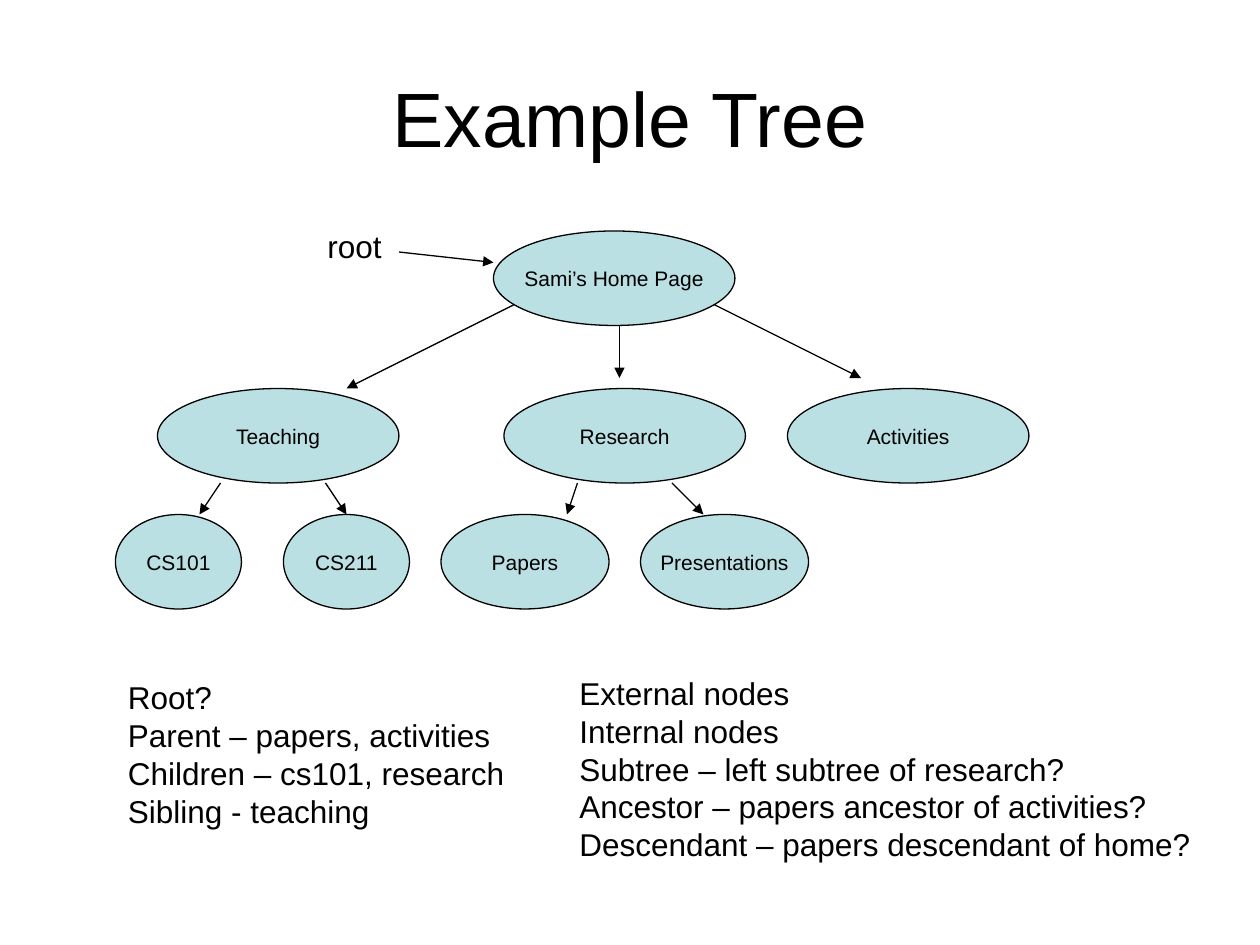
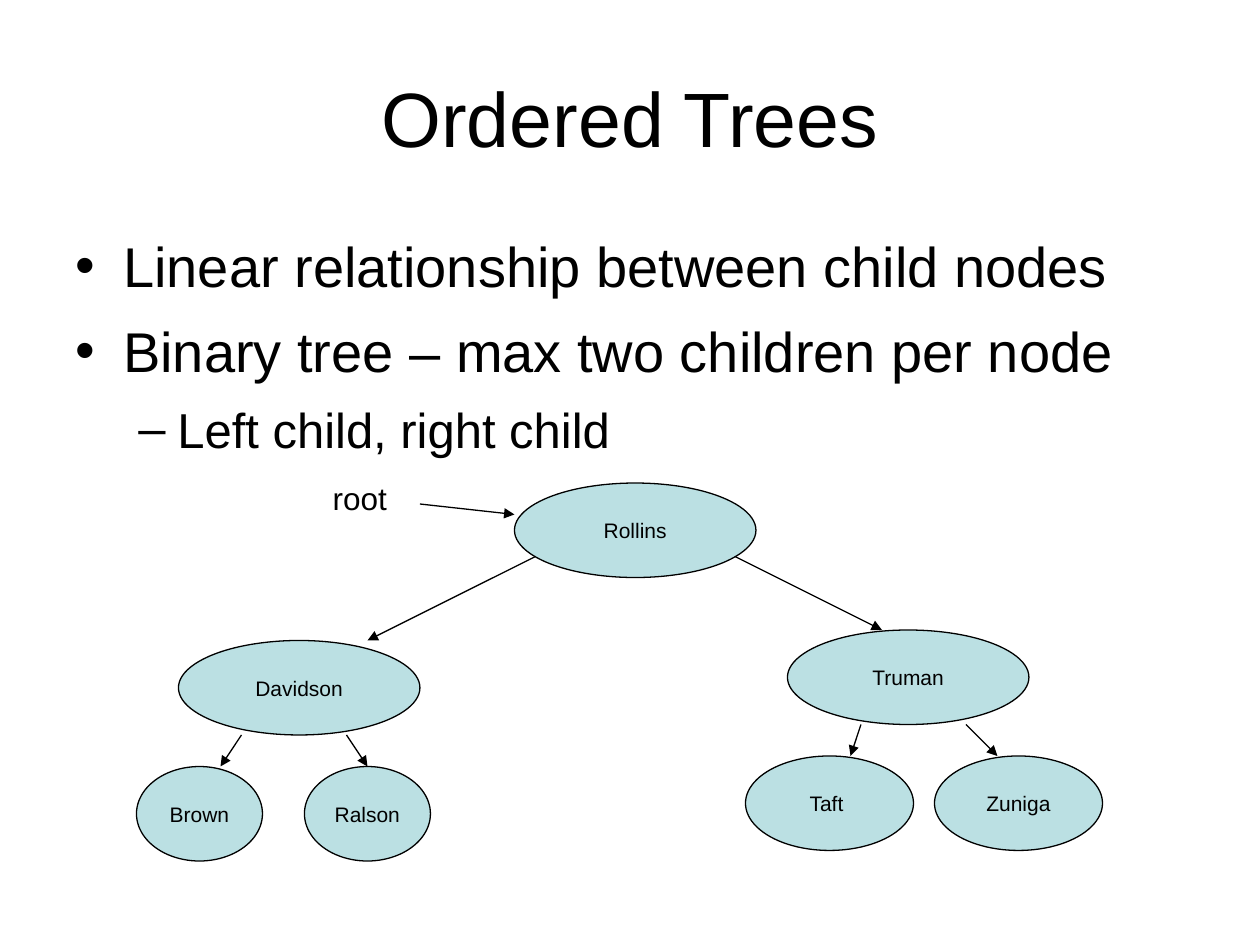
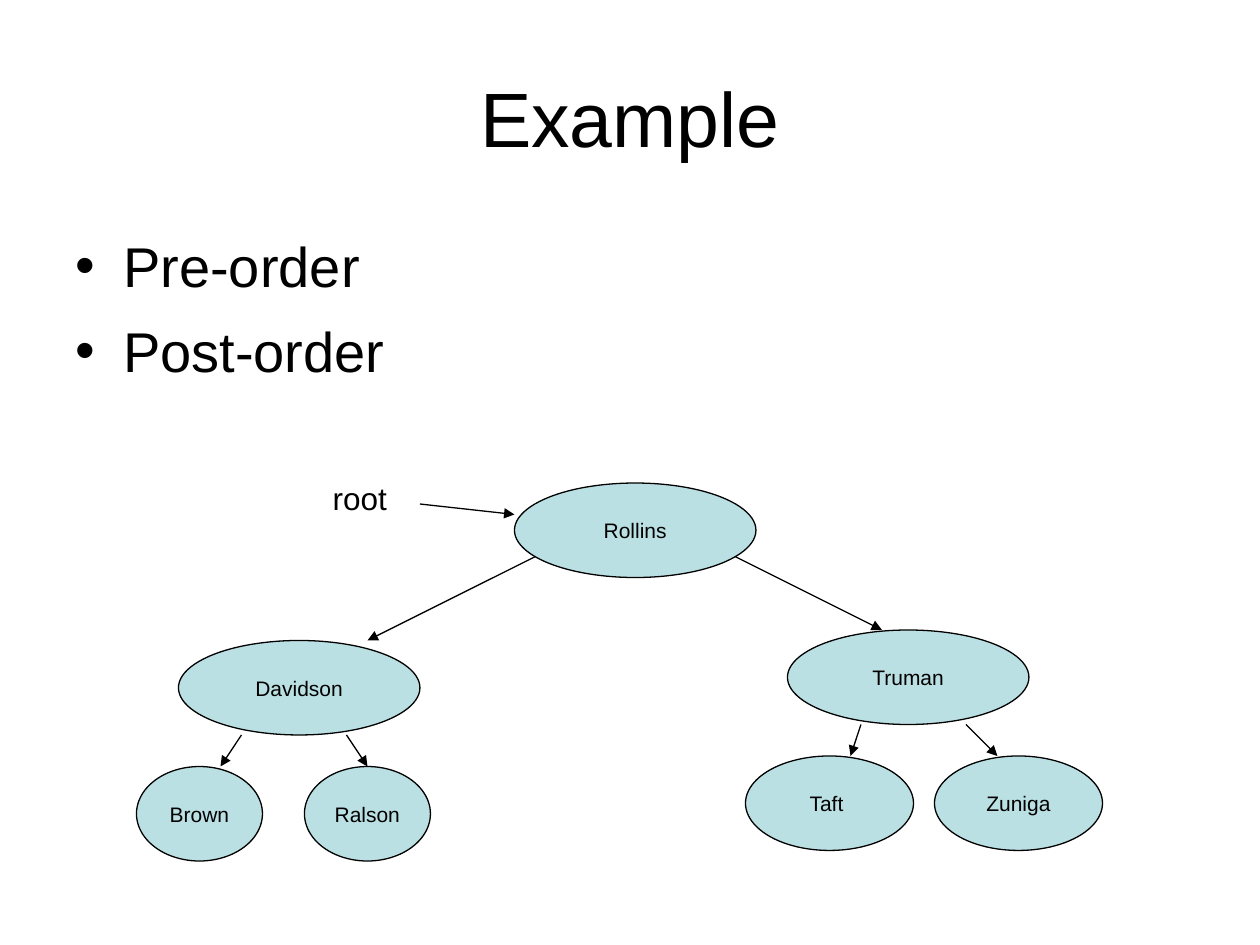
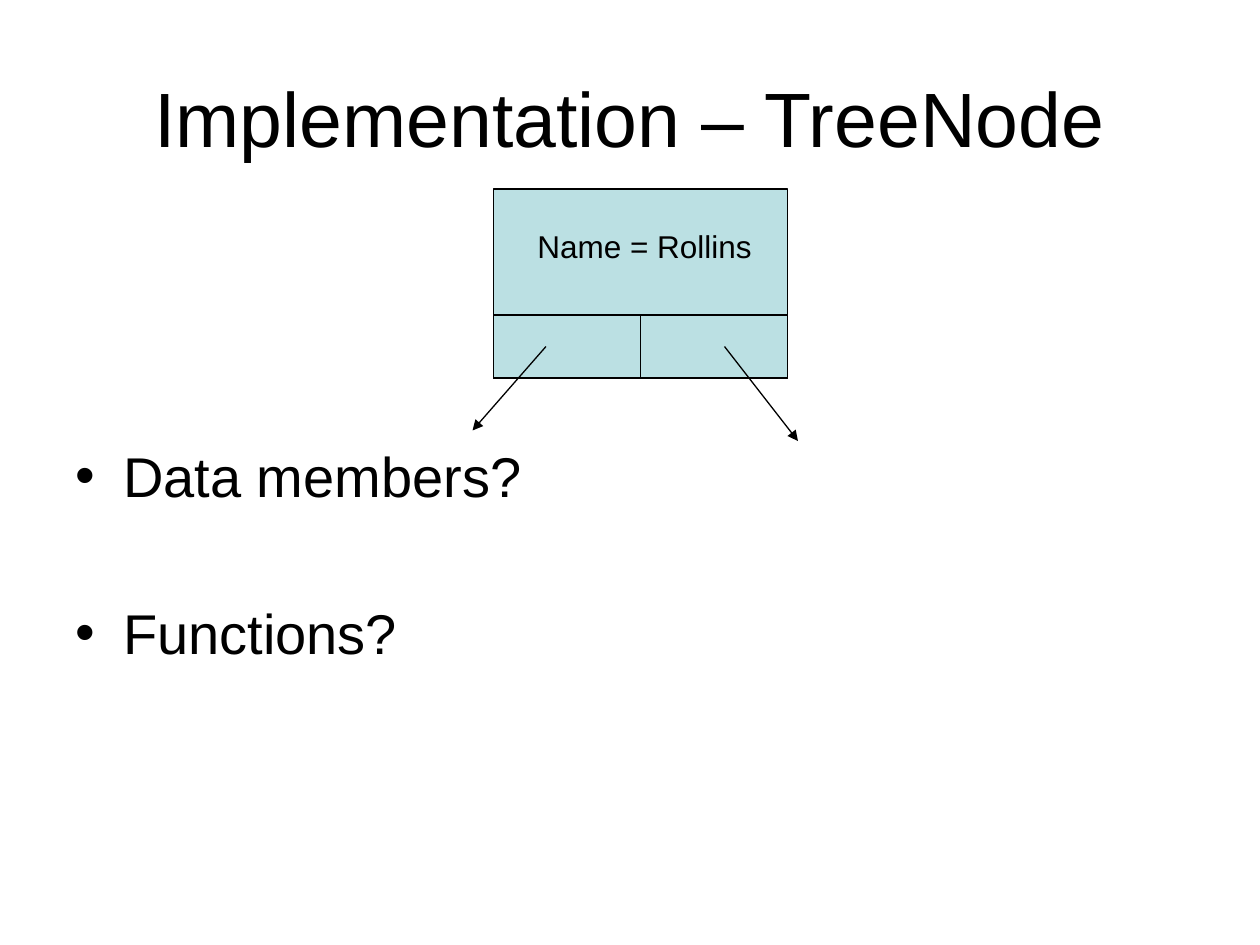
from dataclasses import dataclass
from lxml.etree import SubElement
from pptx import Presentation
from pptx.dml.color import RGBColor
from pptx.enum.shapes import MSO_CONNECTOR, MSO_SHAPE
from pptx.enum.text import MSO_ANCHOR, PP_ALIGN
from pptx.oxml.ns import qn
from pptx.util import Inches, Pt


@dataclass(frozen=True)
class Theme:
    font: str = "Arial"
    ink: RGBColor = RGBColor(0, 0, 0)
    fill: RGBColor = RGBColor(0xBB, 0xE0, 0xE3)
    line: float = 0.75
    title: int = 44
    label: int = 18
    node: int = 12


T = Theme()

# The grid has 12 cells to the inch; every place below is in cells.
COLS, ROWS = 120, 90
TITLE = (6, 3.6, 108, 15)
WIDE, MID, SMALL, TALL = 23, 16, 12, 9

# Bullet levels: size, left margin, hanging indent, mark
LEVELS = [(32, 0.38, 0.38, "•"), (28, 0.81, 0.31, "–")]

# Nodes: text, left, top, width. Arrows: from, to.
SITE = [
    ("Activities", 75, 37, WIDE), ("Teaching", 15, 37, WIDE),
    ("Research", 48, 37, WIDE), ("Sami’s Home Page", 47, 22, WIDE),
    ("Papers", 42, 49, MID), ("Presentations", 61, 49, MID),
    ("CS211", 27, 49, SMALL), ("CS101", 11, 49, SMALL),
]
PEOPLE = [
    ("Davidson", 17, 61, WIDE), ("Truman", 75, 60, WIDE),
    ("Rollins", 49, 46, WIDE), ("Taft ", 71, 72, MID),
    ("Zuniga", 89, 72, MID), ("Ralson", 29, 73, SMALL),
    ("Brown", 13, 73, SMALL),
]
# Both trees share these arrows; the second is shifted as a whole.
COMMON = [
    ((38, 24), (47, 25)), ((49, 29), (33, 37)), ((68, 29), (82, 36)),
    ((21, 46), (19, 49)), ((31, 46), (33, 49)),
]
SHIFT = (2, 24)
SITE_ARROWS = COMMON + [
    ((59, 31), (59, 36)), ((55, 46), (54, 49)), ((64, 46), (67, 49))]
PEOPLE_ARROWS = [
    tuple((x + SHIFT[0], y + SHIFT[1]) for x, y in ends) for ends in COMMON
] + [((82, 69), (81, 72)), ((92, 69), (95, 72))]

TERMS = [
    ((11, 64, 44, 15.6), [
        "Root?", "Parent – papers, activities",
        "Children – cs101, research", "Sibling - teaching"]),
    ((54, 63.6, 64, 22.8), [
        "External nodes", "Internal nodes",
        "Subtree – left subtree of research?",
        "Ancestor – papers ancestor of activities?",
        "Descendant – papers descendant of home?"]),
]
# Bullets: level, space before, text
ORDERED = [
    (0, 0, "Linear relationship between child nodes"),
    (0, 10, "Binary tree – max two children per node"),
    (1, 9, "Left child, right child"),
]
WALKS = [(0, 0, "Pre-order"), (0, 10, "Post-order")]
PARTS = [(0, 0, "Data members?"), (0, 51, "Functions?")]
BODY = (6, 21, 108, 59.4)
PARTS_BODY = (6, 41, 108, 39.4)

# Record box: the whole, then its two link cells
RECORD = [(47, 18, 28, 18), (61, 30, 14, 6), (47, 30, 14, 6)]
LINKS = [((52, 33), (45, 41)), ((69, 33), (76, 42))]


def cells(*vals):
    return [Inches(v / 12) for v in vals]


def write(para, text, size):
    run = para.add_run()
    run.text = text
    run.font.name, run.font.size = T.font, Pt(size)
    run.font.color.rgb = T.ink


def start(deck, title):
    slide = deck.slides.add_slide(deck.slide_layouts[5])
    head = slide.shapes.title
    head.left, head.top, head.width, head.height = cells(*TITLE)
    head.text_frame.vertical_anchor = MSO_ANCHOR.MIDDLE
    para = head.text_frame.paragraphs[0]
    para.alignment = PP_ALIGN.CENTER
    write(para, title, T.title)
    return slide


def label(slide, box, lines, wrap=True):
    frame = slide.shapes.add_textbox(*cells(*box)).text_frame
    frame.word_wrap = wrap
    for i, text in enumerate(lines):
        para = frame.add_paragraph() if i else frame.paragraphs[0]
        write(para, text, T.label)


def bullets(slide, box, items):
    frame = slide.shapes.add_textbox(*cells(*box)).text_frame
    frame.word_wrap = True
    frame.margin_top = Inches(0.09)
    for i, (level, gap, text) in enumerate(items):
        para = frame.add_paragraph() if i else frame.paragraphs[0]
        size, left, hang, mark = LEVELS[level]
        para.level = level
        props = para._p.get_or_add_pPr()
        props.set("marL", str(Inches(left)))
        props.set("indent", str(-Inches(hang)))
        para.space_before = Pt(gap)
        SubElement(props, qn("a:buFont"), typeface=T.font)
        SubElement(props, qn("a:buChar"), char=mark)
        write(para, text, size)


def block(slide, kind, box):
    shape = slide.shapes.add_shape(kind, *cells(*box))
    shape.shadow.inherit = False
    shape.fill.solid()
    shape.fill.fore_color.rgb = T.fill
    shape.line.color.rgb = T.ink
    shape.line.width = Pt(T.line)
    return shape


def arrow(slide, tail, tip):
    line = slide.shapes.add_connector(
        MSO_CONNECTOR.STRAIGHT, *cells(*tail, *tip))
    line.line.color.rgb = T.ink
    line.line.width = Pt(T.line)
    SubElement(line.line._get_or_add_ln(), qn("a:tailEnd"), type="triangle")
    SubElement(line._element.spPr, qn("a:effectLst"))
    return line


def tree(slide, nodes, arrows, root):
    tops = {}
    for text, x, y, wide in nodes:
        oval = block(slide, MSO_SHAPE.OVAL, (x, y, wide, TALL))
        frame = oval.text_frame
        frame.word_wrap = False
        frame.vertical_anchor = MSO_ANCHOR.MIDDLE
        frame.paragraphs[0].alignment = PP_ALIGN.CENTER
        write(frame.paragraphs[0], text, T.node)
        tops[x + wide / 2, y] = oval
    for tail, tip in arrows:
        line = arrow(slide, tail, tip)
        if tip in tops:
            line.end_connect(tops[tip], 0)
    label(slide, (*root, 7.6, 4.8), ["root"], wrap=False)


def main():
    deck = Presentation()
    deck.slide_width, deck.slide_height = cells(COLS, ROWS)

    # Tree of pages with its terms
    slide = start(deck, "Example Tree")
    tree(slide, SITE, SITE_ARROWS, (30, 21))
    for box, lines in TERMS:
        label(slide, box, lines)

    # Binary tree, twice
    for title, items in (("Ordered Trees", ORDERED), ("Example", WALKS)):
        slide = start(deck, title)
        bullets(slide, BODY, items)
        tree(slide, PEOPLE, PEOPLE_ARROWS, (30.5, 45))

    # Node record with two links
    slide = start(deck, "Implementation – TreeNode")
    bullets(slide, PARTS_BODY, PARTS)
    for box in RECORD:
        block(slide, MSO_SHAPE.RECTANGLE, box)
    label(slide, (50, 21, 22.8, 4.8), ["Name = Rollins"], wrap=False)
    for tail, tip in LINKS:
        arrow(slide, tail, tip)

    deck.save("out.pptx")


if __name__ == "__main__":
    main()
